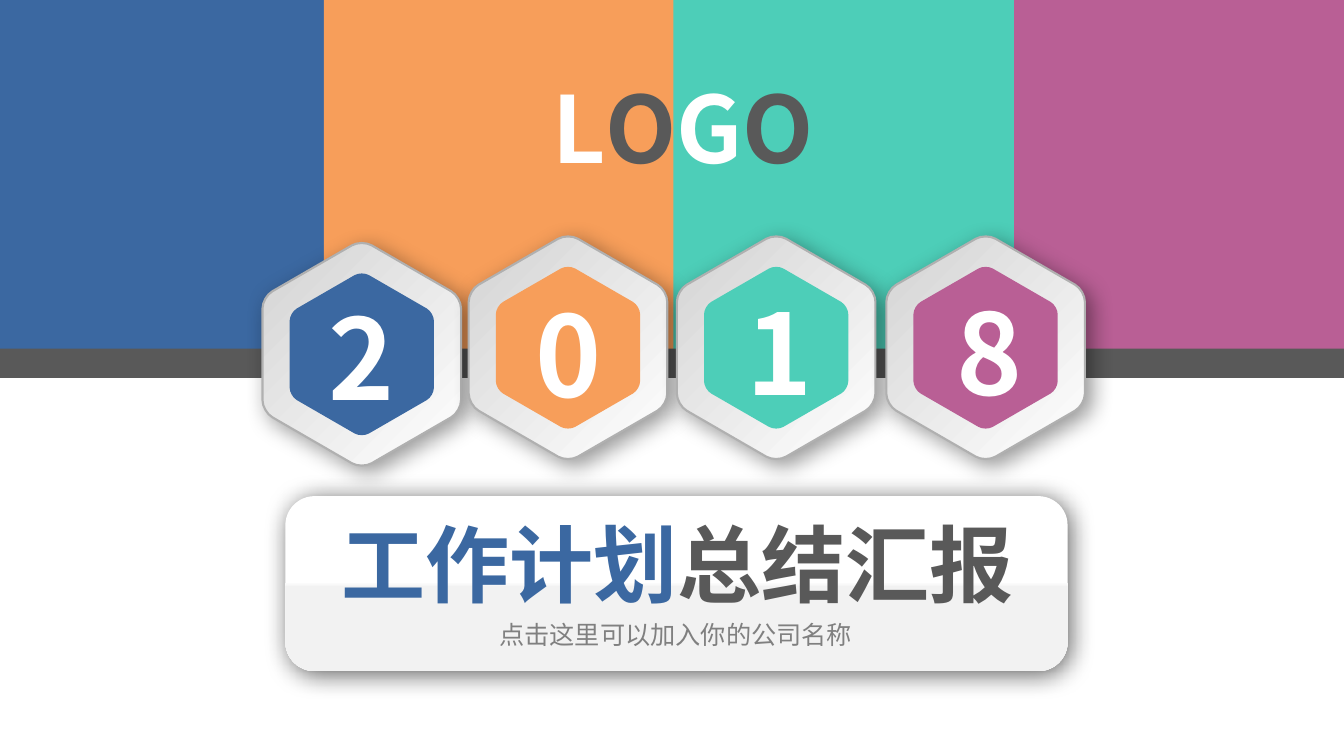
from math import cos, radians, sin

from lxml import etree
from pptx import Presentation
from pptx.dml.color import RGBColor
from pptx.enum.shapes import MSO_SHAPE
from pptx.enum.text import MSO_ANCHOR, PP_ALIGN
from pptx.oxml.ns import qn
from pptx.util import Pt

RECT, ROUND = MSO_SHAPE.RECTANGLE, MSO_SHAPE.ROUNDED_RECTANGLE
MIDDLE, CENTER = MSO_ANCHOR.MIDDLE, PP_ALIGN.CENTER
FONT = "Noto Sans CJK SC"

COLORS = {
    "blue": "3B68A1", "orange": "F79E5A", "teal": "4DCEB8", "plum": "B95F95",
    "dark": "595959", "gray": "808080", "white": "FFFFFF",
    "silver": "D3D3D3", "pale": "F2F2F2", "rim": "B0B0B0",
}

# Content: bands are (color, left, top, width, height)
BANDS = [
    ("blue", -0.7, 0, 255.6, 249.8),
    ("orange", 231.4, 0, 355.4, 249.8),
    ("teal", 481, -1.4, 260, 251.2),
    ("plum", 724.3, -1.4, 236.9, 251.2),
    ("dark", -0.7, 249, 961.9, 21),
]
# Badges are (digit, color, hexagon center, digit center)
BADGES = [
    ("2", "blue", (258.4, 253.1), (258.5, 254.4)),
    ("0", "orange", (405.7, 248.4), (406, 251.7)),
    ("1", "teal", (554.4, 248.4), (556.6, 250.8)),
    ("8", "plum", (704, 248.4), (706.8, 250.8)),
]
LOGO = [("L", "white"), ("O", "dark"), ("G", "white"), ("O", "dark")]
TITLE = [("工作计划", "blue"), ("总结汇报", "dark")]
NOTE = [("点击这里可以加入你的公司名称", "gray")]

OUTER, INNER = 81.9, 59.5   # hexagon radii
CUT, BEND = 0.1, 0.55       # corner cut and curve handle, as shares

prs = Presentation()
prs.slide_width, prs.slide_height = Pt(960), Pt(540)
slide = prs.slides.add_slide(prs.slide_layouts[6])


def rgb(name):
    return RGBColor.from_string(COLORS[name])


def paint(shape, color):
    shape.shadow.inherit = False
    shape.fill.solid()
    shape.fill.fore_color.rgb = rgb(color)
    shape.line.fill.background()


def blend(shape, stops, angle):
    shape.fill.gradient()
    shape.fill.gradient_angle = angle
    for stop, (place, color) in zip(shape.fill.gradient_stops, stops):
        stop.position = place
        stop.color.rgb = rgb(color)


def shade(shape, alpha, blur, dist):
    shape.shadow.inherit = False
    effects = shape._element.spPr.find(qn("a:effectLst"))
    outer = etree.SubElement(
        effects, qn("a:outerShdw"), blurRad=str(Pt(blur)), dist=str(Pt(dist)),
        dir="2700000", algn="tl", rotWithShape="0")
    color = etree.SubElement(outer, qn("a:srgbClr"), val="000000")
    etree.SubElement(color, qn("a:alpha"), val=str(alpha * 1000))


def add_text(runs, center, width, height, size, bold=False):
    x, y = center
    box = slide.shapes.add_textbox(
        Pt(x - width / 2), Pt(y - height / 2), Pt(width), Pt(height))
    frame = box.text_frame
    frame.word_wrap = True
    frame.vertical_anchor = MIDDLE
    para = frame.paragraphs[0]
    para.alignment = CENTER
    for text, color in runs:
        run = para.add_run()
        run.text = text
        font = run.font
        font.name, font.size, font.bold = FONT, Pt(size), bold
        font.color.rgb = rgb(color)
        etree.SubElement(run._r.get_or_add_rPr(), qn("a:ea"), typeface=FONT)


def toward(here, there, share):
    return tuple(h + (t - h) * share for h, t in zip(here, there))


def add_hex(shapes, center, radius):
    """Draw a hexagon with rounded corners, turned to stand on a point."""
    x, y = center
    tips = [(x + radius * cos(radians(a)), y + radius * sin(radians(a)))
            for a in range(0, 360, 60)]
    dots = []
    for i, tip in enumerate(tips):
        start = toward(tip, tips[i - 1], CUT)
        end = toward(tip, tips[(i + 1) % 6], CUT)
        dots += [start, toward(start, tip, BEND), toward(end, tip, BEND), end]
    dots = [(Pt(a), Pt(b)) for a, b in dots]
    path = shapes.build_freeform(*dots[0], scale=1.0)
    path.add_line_segments(dots[1:], close=True)
    shape = path.convert_to_shape()
    # Merge the three points after each corner start into one curve
    lines = list(shape._element.iter(qn("a:lnTo")))
    for i in range(0, len(lines), 4):
        curve = etree.Element(qn("a:cubicBezTo"))
        lines[i].addprevious(curve)
        for line in lines[i:i + 3]:
            curve.append(line[0])
            line.getparent().remove(line)
    shape.rotation = 90
    return shape


# Background bands
for color, *area in BANDS:
    paint(slide.shapes.add_shape(RECT, *map(Pt, area)), color)

# Year badges
for digit, color, center, spot in BADGES:
    group = slide.shapes.add_group_shape()
    frame = add_hex(group.shapes, center, OUTER)
    blend(frame, [(0, "white"), (1, "silver")], 225)
    frame.line.color.rgb = rgb("rim")
    frame.line.width = Pt(1.5)
    shade(frame, 40, 16, 6)
    paint(add_hex(group.shapes, center, INNER), color)
    add_text([(digit, "white")], spot, 130, 102, 80, bold=True)

# Title panel
panel = slide.shapes.add_shape(ROUND, Pt(203.8), Pt(354.4), Pt(558.8), Pt(125))
blend(panel, [(0.49, "white"), (0.52, "pale")], 270)
panel.line.fill.background()
shade(panel, 62, 18, 3)

# Title, note and logo text
add_text(TITLE, (483.8, 402.1), 501, 80, 60, bold=True)
add_text(NOTE, (482.6, 453.2), 348, 18, 18)
add_text(LOGO, (488, 90.6), 501, 87, 66, bold=True)

prs.save("out.pptx")
